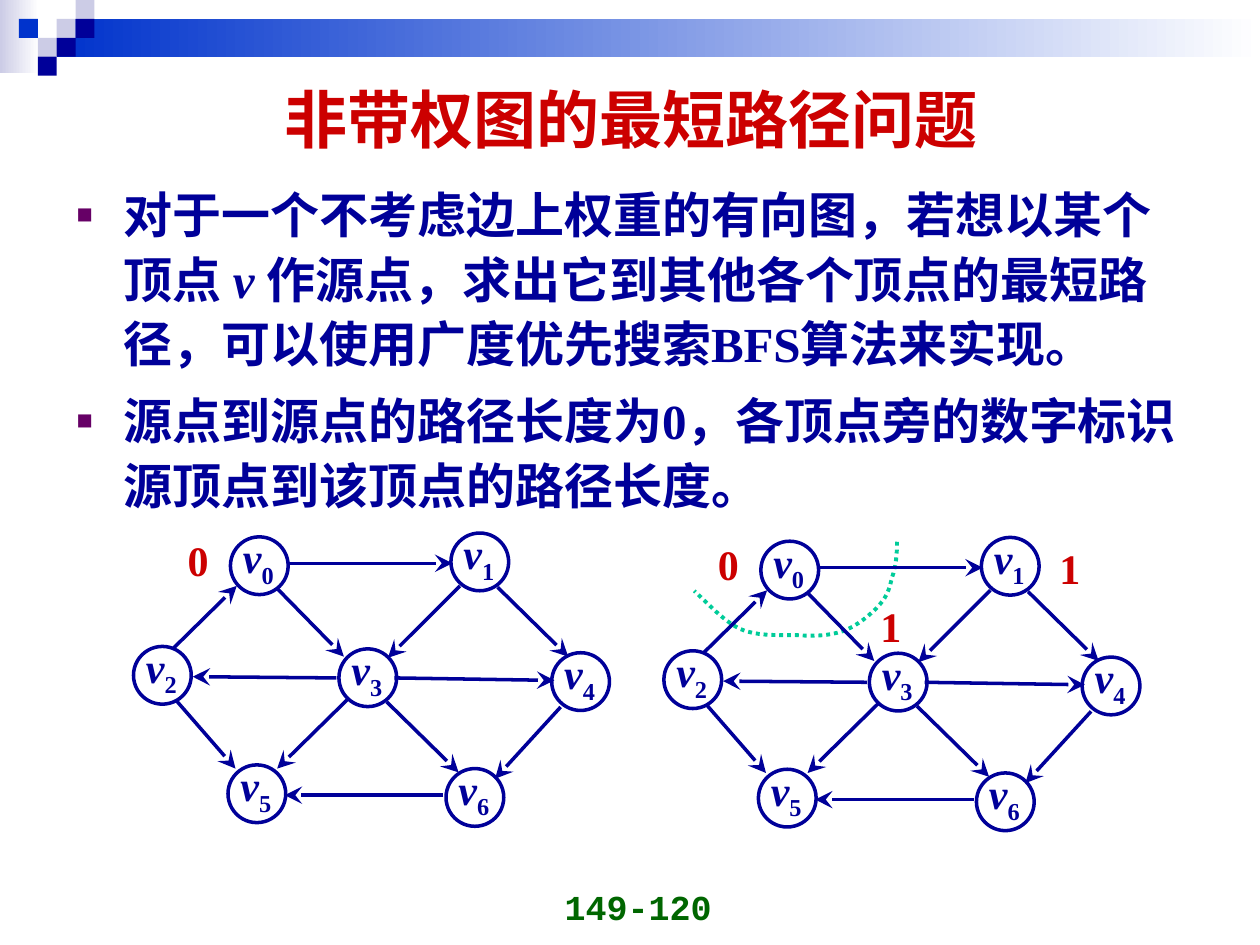
from lxml.etree import SubElement
from pptx import Presentation
from pptx.dml.color import RGBColor
from pptx.enum.dml import MSO_LINE
from pptx.enum.shapes import MSO_CONNECTOR, MSO_SHAPE
from pptx.enum.text import MSO_ANCHOR, PP_ALIGN
from pptx.oxml.ns import qn
from pptx.util import Pt

NAVY, BLUE, LILAC, WHITE = "000099", "0033CC", "CCCCE6", "FFFFFF"
RED, GREEN, PURPLE, TEAL = "CC0000", "006600", "660066", "00CC99"
SERIF = "Times New Roman"

NODE_SIZE = 33
NODES = [(55.4, 2.2), (181.4, 0), (0, 64.8), (117.4, 66.2),
         (239, 68.4), (54, 132.5), (178.6, 134.6)]
EDGES_BEHIND = [
    (81.4, 31, 120.2, 70.6), (177.1, 149.8, 86.4, 149.8),
    (68.4, 17.3, 182.2, 17.3), (21.6, 67, 59, 30.2),
    (186.5, 30.2, 145.4, 71.3), (115.9, 82.8, 33.8, 82.1),
    (244.1, 99.4, 206.6, 140.4), (24.5, 95.8, 58.3, 134.6)]
EDGES_IN_FRONT = [
    (123.1, 94.3, 82.1, 134.6), (144.7, 96.5, 185.8, 136.8),
    (149, 82.8, 240.5, 84.2), (208.1, 31, 248.4, 70.6)]
FRONTIER = [
    (133.2, 2.5), (133.2, 9.7), (132.5, 16.9), (130.4, 22.7),
    (128.9, 28.4), (128.2, 32.8), (123.2, 38.5),
    (118.8, 43.6), (110.2, 50.8), (102.2, 53.6),
    (93.6, 56.5), (84.2, 56.5), (74.9, 55.8),
    (64.8, 55.8), (52.6, 56.5), (43.2, 52.2),
    (33.8, 47.9), (21.6, 34.2), (17.3, 30.6)]


def rgb(color):
    return RGBColor.from_string(color)


def add_run(p, text, color, **fmt):
    r = p.add_run()
    r.text = text
    r.font.color.rgb = rgb(color)
    for name, value in {"bold": True, **fmt}.items():
        setattr(r.font, name, value)
    return r


def add_textbox(s, x, y, w, h, anchor=MSO_ANCHOR.TOP):
    tf = s.shapes.add_textbox(Pt(x), Pt(y), Pt(w), Pt(h)).text_frame
    tf.word_wrap = True
    tf.vertical_anchor = anchor
    return tf


def add_line_text(s, box, text, color, align, anchor=MSO_ANCHOR.TOP, **fmt):
    p = add_textbox(s, *box, anchor).paragraphs[0]
    p.alignment = align
    add_run(p, text, color, **fmt)
    return p


def add_shape(s, kind, x, y, w, h):
    sp = s.shapes.add_shape(kind, Pt(x), Pt(y), Pt(w), Pt(h))
    sp.shadow.inherit = False
    return sp


def add_rect(s, x, y, w, h, *colors):
    """One colour gives a solid fill, two a gradient from left to right."""
    sp = add_shape(s, MSO_SHAPE.RECTANGLE, x, y, w, h)
    sp.line.fill.background()
    if len(colors) == 1:
        sp.fill.solid()
        sp.fill.fore_color.rgb = rgb(colors[0])
        return
    sp.fill.gradient()
    sp.fill.gradient_angle = 0
    for stop, color in zip(sp.fill.gradient_stops, colors):
        stop.color.rgb = rgb(color)


def add_banner(s, x, y, w):
    unit = 10.8
    add_rect(s, x, y, 22.3, 41.8, LILAC, WHITE)
    add_rect(s, x + 3 * unit, y + unit, w - 3 * unit, 2 * unit, BLUE, WHITE)
    squares = [(3, 1, LILAC), (4, 0, LILAC), (4, 1, NAVY), (2, 2, LILAC),
               (1, 1, BLUE), (3, 2, NAVY), (2, 3, NAVY)]
    for col, row, color in squares:
        add_rect(s, x + col * unit, y + row * unit, unit, unit, color)


def add_bullet(p):
    pPr = p._p.get_or_add_pPr()
    pPr.set("marL", str(Pt(27)))
    pPr.set("indent", str(Pt(-27)))
    SubElement(SubElement(pPr, qn("a:buClr")), qn("a:srgbClr"), val=PURPLE)
    SubElement(pPr, qn("a:buSzPct"), val="55000")
    SubElement(pPr, qn("a:buFont"), typeface="Arial")
    SubElement(pPr, qn("a:buChar"), char="■")


def add_body(s, x, y, w, h):
    tf = add_textbox(s, x, y, w, h)
    items = [
        [("对于一个不考虑边上权重的有向图，若想以某个顶点 ", False), ("v ", True),
         ("作源点，求出它到其他各个顶点的最短路径，可以使用广度优先搜索BFS算法来实现。", False)],
        [("源点到源点的路径长度为0，各顶点旁的数字标识源顶点到该顶点的路径长度。", False)]]
    for i, runs in enumerate(items):
        p = tf.add_paragraph() if i else tf.paragraphs[0]
        add_bullet(p)
        p.line_spacing = 1.1
        if i:
            p.space_before = Pt(7)
        for text, italic in runs:
            add_run(p, text, NAVY, size=Pt(28), name=SERIF, italic=italic)


def add_arrow(s, x1, y1, x2, y2):
    cx = s.shapes.add_connector(MSO_CONNECTOR.STRAIGHT, Pt(x1), Pt(y1), Pt(x2), Pt(y2))
    cx.line.color.rgb = rgb(NAVY)
    cx.line.width = Pt(2)
    SubElement(cx.line._get_or_add_ln(), qn("a:tailEnd"), type="stealth", w="lg", len="lg")
    SubElement(cx._element.spPr, qn("a:effectLst"))


def add_node(s, x, y):
    sp = add_shape(s, MSO_SHAPE.OVAL, x, y, NODE_SIZE, NODE_SIZE)
    sp.fill.solid()
    sp.fill.fore_color.rgb = rgb(WHITE)
    sp.line.color.rgb = rgb(NAVY)
    sp.line.width = Pt(2)


def add_graph(s, x, y, distances):
    """Draws the directed graph; distances are (text, x, y) beside its nodes."""
    font = {"size": Pt(24), "name": SERIF}
    for text, dx, dy in distances:
        add_line_text(s, (x + dx, y + dy, 39, 39), text, RED, PP_ALIGN.JUSTIFY, **font)
    for x1, y1, x2, y2 in EDGES_BEHIND:
        add_arrow(s, x + x1, y + y1, x + x2, y + y2)
    for dx, dy in NODES:
        add_node(s, x + dx, y + dy)
    for x1, y1, x2, y2 in EDGES_IN_FRONT:
        add_arrow(s, x + x1, y + y1, x + x2, y + y2)
    for i, (dx, dy) in enumerate(NODES):
        p = add_line_text(s, (x + dx, y + dy - 6.5, 60, 43.5), "v", NAVY,
                          PP_ALIGN.JUSTIFY, italic=True, **font)
        r = add_run(p, str(i), NAVY, italic=False, **font)
        r.font._element.set("baseline", "-25000")


def bezier(p0, p1, p2, p3, t):
    u = 1 - t
    return tuple(u**3 * a + 3 * u * u * t * b + 3 * u * t * t * c + t**3 * d
                 for a, b, c, d in zip(p0, p1, p2, p3))


def add_frontier(s, x, y):
    steps = 8
    points = [bezier(*FRONTIER[i:i + 4], k / steps)
              for i in range(0, len(FRONTIER) - 1, 3) for k in range(1, steps + 1)]
    start, *rest = [(Pt(x + px), Pt(y + py)) for px, py in [FRONTIER[0], *points]]
    fb = s.shapes.build_freeform(*start)
    fb.add_line_segments(rest, close=False)
    sp = fb.convert_to_shape()
    sp.shadow.inherit = False
    sp.fill.background()
    sp.line.color.rgb = rgb(TEAL)
    sp.line.width = Pt(2.25)
    sp.line.dash_style = MSO_LINE.ROUND_DOT


def main():
    prs = Presentation()
    prs.slide_width, prs.slide_height = Pt(720), Pt(540)
    s = prs.slides.add_slide(prs.slide_layouts[6])
    add_banner(s, 0, 0, 720)
    add_line_text(s, (280.8, 497.5, 167.8, 36), "149-120", GREEN, PP_ALIGN.CENTER,
                  MSO_ANCHOR.BOTTOM, size=Pt(20), name="Courier New")
    add_line_text(s, (36.7, 26, 648, 83.5), "非带权图的最短路径问题", RED, PP_ALIGN.CENTER,
                  MSO_ANCHOR.MIDDLE, size=Pt(36), name="Arial")
    add_body(s, 36.7, 98.6, 648, 374.4)
    source = ("0", 23.8, -2.9)
    add_graph(s, 76.3, 304.6, [source])
    add_frontier(s, 379.4, 307.1)
    add_graph(s, 379.4, 307.1, [("1", 116.6, 32.8), ("1", 218.9, -0.4), source])
    prs.save("out.pptx")


if __name__ == "__main__":
    main()
